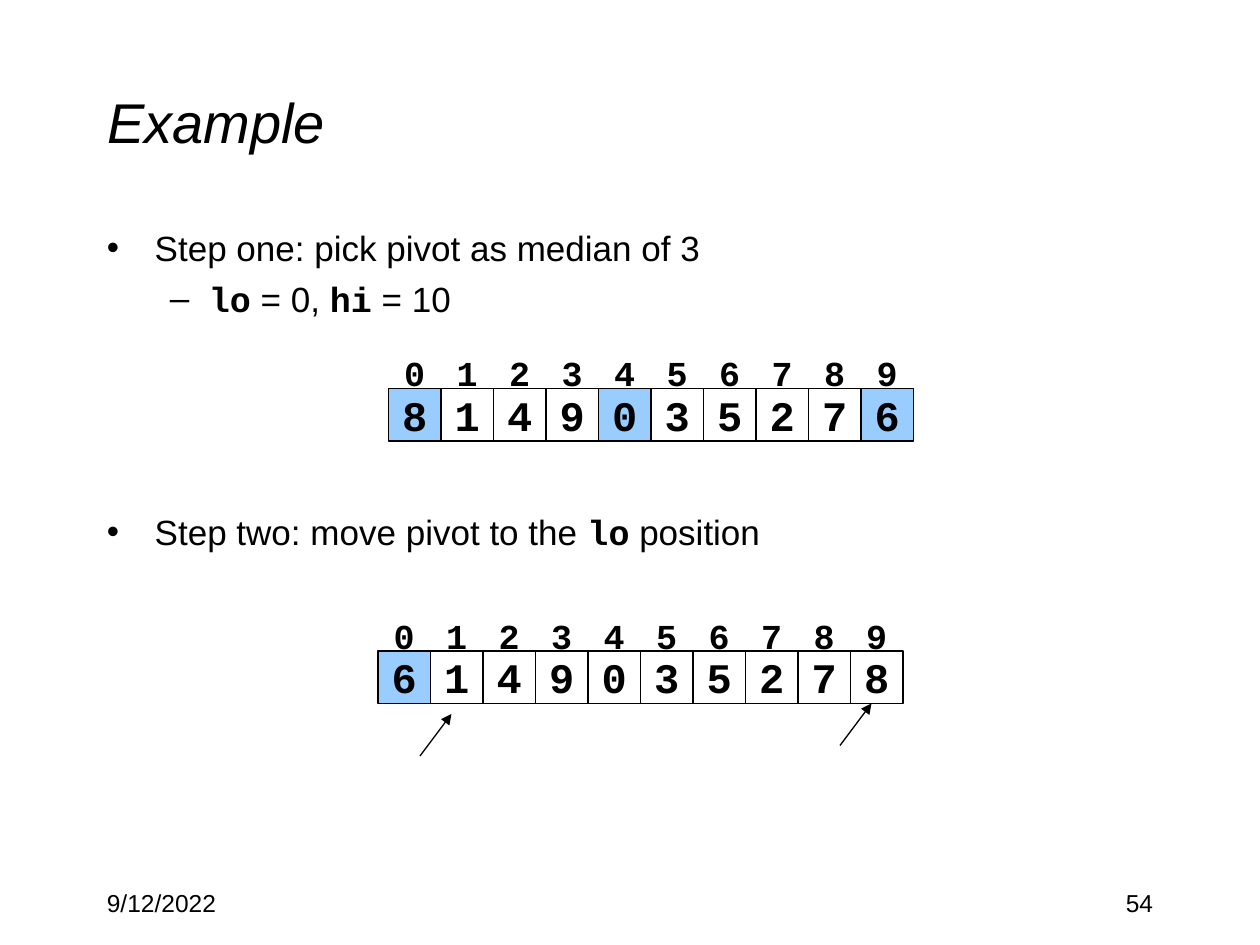
"""Builds the quicksort pivot example slide."""
from lxml.etree import SubElement
from pptx import Presentation
from pptx.dml.color import RGBColor
from pptx.enum.shapes import MSO_CONNECTOR as Connector, MSO_SHAPE as Preset
from pptx.enum.text import MSO_ANCHOR as Anchor, PP_ALIGN as Align
from pptx.oxml.ns import qn
from pptx.util import Inches, Pt

COLUMNS, ROWS = 120, 90
CELL = 5


def colour(hex_code):
    """Turn a hex string into a colour."""
    return RGBColor.from_string(hex_code)


class ExampleSlide:
    """Holds the style and the slide, and draws each kind of element."""

    ink, marked = "000000", "99CCFF"
    prose, code = "Arial", "Courier New"
    bullets = (("•", 0.38, 0.38), ("–", 0.81, 0.31))

    def __init__(self, deck):
        """Add a title-only slide to the deck."""
        self.column = deck.slide_width / COLUMNS
        self.row = deck.slide_height / ROWS
        self.slide = deck.slides.add_slide(deck.slide_layouts[5])
        self.shapes = self.slide.shapes

    def place(self, column, row, width=0, height=0):
        """Convert grid units to slide lengths."""
        return (round(column * self.column), round(row * self.row),
                round(width * self.column), round(height * self.row))

    def add_words(self, paragraph, wording, size, is_code=False, italic=False):
        """Add one run of prose or code."""
        run = paragraph.add_run()
        run.text = wording
        font = run.font
        font.name = self.code if is_code else self.prose
        font.size, font.bold, font.italic = Pt(size), is_code, italic
        font.color.rgb = colour(self.ink)

    def title(self, wording, *area):
        """Move and format the title placeholder."""
        heading = self.shapes.title
        heading.left, heading.top, heading.width, heading.height = self.place(*area)
        heading.text_frame.vertical_anchor = Anchor.MIDDLE
        paragraph = heading.text_frame.paragraphs[0]
        paragraph.alignment = Align.LEFT
        self.add_words(paragraph, wording, 32, italic=True)

    def label(self, wording, *area, align=Align.LEFT):
        """Set a footer label."""
        frame = self.shapes.add_textbox(*self.place(*area)).text_frame
        frame.word_wrap = True
        frame.paragraphs[0].alignment = align
        self.add_words(frame.paragraphs[0], wording, 14)

    def steps(self, points, *area):
        """Set bulleted points, each one level deeper than the last."""
        frame = self.shapes.add_textbox(*self.place(*area)).text_frame
        frame.word_wrap = True
        for level, (point, bullet) in enumerate(zip(points, self.bullets)):
            paragraph = frame.paragraphs[0] if level == 0 else frame.add_paragraph()
            paragraph.level = level
            paragraph.space_before = Pt(4.8)
            mark, margin, hanging = bullet
            properties = paragraph._p.get_or_add_pPr()
            properties.set("marL", str(Inches(margin)))
            properties.set("indent", str(-Inches(hanging)))
            SubElement(properties, qn("a:buFont"), typeface=self.prose)
            SubElement(properties, qn("a:buChar"), char=mark)
            for wording, is_code in point:
                self.add_words(paragraph, wording, 20, is_code)

    def digit(self, box, wording, size):
        """Centre a code digit in its box."""
        frame = box.text_frame
        frame.word_wrap = False
        frame.vertical_anchor = Anchor.MIDDLE
        frame.paragraphs[0].alignment = Align.CENTER
        self.add_words(frame.paragraphs[0], wording, size, is_code=True)

    def array(self, values, highlights, column, row):
        """Draw array cells with their indices above."""
        for index, value in enumerate(values):
            area = self.place(column + index * CELL, row, CELL, CELL)
            cell = self.shapes.add_shape(Preset.RECTANGLE, *area)
            cell.shadow.inherit = False
            cell.line.color.rgb = colour(self.ink)
            cell.line.width = Pt(0.75)
            if index in highlights:
                cell.fill.solid()
                cell.fill.fore_color.rgb = colour(self.marked)
            else:
                cell.fill.background()
            self.digit(cell, str(value), 24)
        for index in range(len(values)):
            area = self.place(column + index * CELL, row - 4, CELL, CELL)
            self.digit(self.shapes.add_textbox(*area), str(index), 20)

    def arrow(self, column, row):
        """Draw a pointer rising to the right from a grid point."""
        start = self.place(column, row)[:2]
        tip = self.place(column + 3, row - 4)[:2]
        pointer = self.shapes.add_connector(Connector.STRAIGHT, *start, *tip)
        pointer.line.color.rgb = colour(self.ink)
        pointer.line.width = Pt(0.75)
        SubElement(pointer.line._get_or_add_ln(), qn("a:tailEnd"), type="triangle")
        SubElement(pointer._element.spPr, qn("a:effectLst"))


def main():
    """Build and save the slide."""
    deck = Presentation()
    deck.slide_width, deck.slide_height = Inches(10), Inches(7.5)
    example = ExampleSlide(deck)
    example.title("Example", 9, 4, 102, 15)
    example.steps([
        [("Step one: pick pivot as median of 3", False)],
        [("lo", True), (" = 0, ", False), ("hi", True), (" = 10", False)],
    ], 9, 21, 102, 11)
    example.label("9/12/2022", 9, 84, 25, 6)
    example.label("54", 86, 84, 25, 6, align=Align.RIGHT)
    example.array([6, 1, 4, 9, 0, 3, 5, 2, 7, 8], {0}, 36, 62)
    example.steps([
        [("Step two: move pivot to the ", False), ("lo", True), (" position", False)],
    ], 9, 48, 102, 11)
    example.arrow(40, 72)
    example.arrow(80, 71)
    example.array([8, 1, 4, 9, 0, 3, 5, 2, 7, 6], {0, 4, 9}, 37, 37)
    deck.save("out.pptx")


if __name__ == "__main__":
    main()
